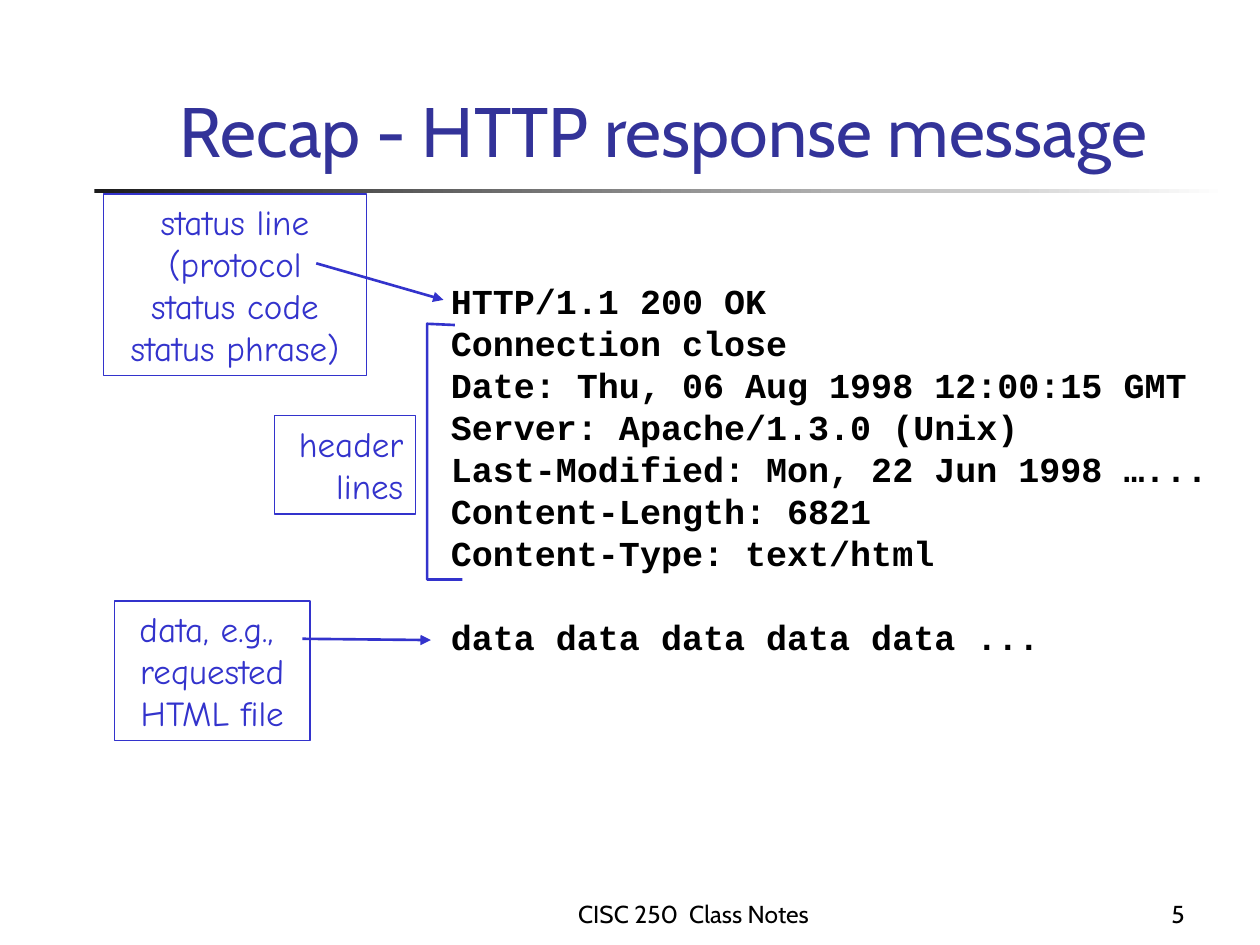
from lxml import etree
from pptx import Presentation
from pptx.dml.color import RGBColor
from pptx.enum.shapes import MSO_CONNECTOR, MSO_SHAPE
from pptx.enum.text import MSO_ANCHOR, PP_ALIGN
from pptx.oxml.ns import qn
from pptx.util import Inches, Pt

LEFT, CENTER, RIGHT = PP_ALIGN.LEFT, PP_ALIGN.CENTER, PP_ALIGN.RIGHT
TOP, BOTTOM = MSO_ANCHOR.TOP, MSO_ANCHOR.BOTTOM
RECTANGLE, STRAIGHT = MSO_SHAPE.RECTANGLE, MSO_CONNECTOR.STRAIGHT
BLUE, NAVY, BLACK = "3333CC", "333399", "000000"
LINE_PITCH = Pt(24)

deck = Presentation()
deck.slide_width, deck.slide_height = Inches(10), Inches(7.5)
page = deck.slides.add_slide(deck.slide_layouts[6])
# Square grid: 1000 columns by 750 rows
CELL = deck.slide_width // 1000


def color(hex_code):
    return RGBColor.from_string(hex_code)


def write(shape, lines, font, size, ink, align=LEFT, anchor=TOP, bold=False, pitch=None):
    """Fill a shape with one paragraph per line of text."""
    frame = shape.text_frame
    frame.word_wrap = pitch is None
    frame.vertical_anchor = anchor
    frame.margin_left = frame.margin_right = 10 * CELL
    frame.margin_top = frame.margin_bottom = 5 * CELL
    for index, line in enumerate(lines):
        para = frame.paragraphs[0] if index == 0 else frame.add_paragraph()
        para.alignment = align
        if pitch:
            para.line_spacing = pitch
        span = para.add_run()
        span.text = line
        span.font.name, span.font.size, span.font.bold = font, Pt(size), bold
        span.font.color.rgb = color(ink)


# Rule under the title, fading to white
rule = page.shapes.add_shape(RECTANGLE, 75 * CELL, 150 * CELL, 900 * CELL, 3 * CELL)
rule.shadow.inherit = False
rule.line.fill.background()
rule.fill.gradient()
rule.fill.gradient_angle = 0
for stop, shade in zip(rule.fill.gradient_stops, ("1C1C1C", "FFFFFF")):
    stop.color.rgb = color(shade)

# Title and footer
for text, size, ink, align, (left, top, width, height) in (
    ("CISC 250  Class Notes", 14, BLACK, CENTER, (342, 692, 417, 50)),
    ("5", 14, BLACK, RIGHT, (858, 692, 92, 50)),
    ("Recap - HTTP response message", 40, NAVY, LEFT, (133, 25, 828, 116)),
):
    box = page.shapes.add_textbox(left * CELL, top * CELL, width * CELL, height * CELL)
    write(box, [text], "Cabin", size, ink, align, BOTTOM)

# Response message; the data follows after a gap of one line
message = page.shapes.add_textbox(348 * CELL, 217 * CELL, 637 * CELL, 310 * CELL)
write(message, [
    "HTTP/1.1 200 OK",
    "Connection close",
    "Date: Thu, 06 Aug 1998 12:00:15 GMT",
    "Server: Apache/1.3.0 (Unix)",
    "Last-Modified: Mon, 22 Jun 1998 …...",
    "Content-Length: 6821",
    "Content-Type: text/html",
    "data data data data data ...",
], "Courier New", 20, BLACK, bold=True, pitch=LINE_PITCH)
message.text_frame.paragraphs[-1].space_before = LINE_PITCH

# Labels for the parts of the message
for lines, align, (left, top, width, height) in (
    (["status line", "(protocol", "status code", "status phrase)"], CENTER, (82, 154, 209, 144)),
    (["header", "lines"], RIGHT, (218, 330, 112, 78)),
    (["data, e.g., ", "requested", "HTML file"], CENTER, (91, 477, 155, 111)),
):
    label = page.shapes.add_shape(RECTANGLE, left * CELL, top * CELL, width * CELL, height * CELL)
    label.shadow.inherit = False
    label.fill.background()
    label.line.color.rgb, label.line.width = color(BLUE), Pt(0.75)
    write(label, lines, "Comic Neue", 20, BLUE, align, pitch=LINE_PITCH)

# Arrows from the labels to the message
for ends in ((251, 209, 352, 238), (240, 507, 342, 508)):
    arrow = page.shapes.add_connector(STRAIGHT, *(end * CELL for end in ends))
    arrow.line.color.rgb, arrow.line.width = color(BLUE), Pt(1.5)
    properties = arrow._element.spPr
    etree.SubElement(properties.find(qn("a:ln")), qn("a:tailEnd"), type="triangle")
    etree.SubElement(properties, qn("a:effectLst"))

# Bracket around the header lines
outline = page.shapes.build_freeform(361, 258, scale=CELL)
outline.add_line_segments([(339, 257), (339, 460), (367, 460)], close=False)
bracket = outline.convert_to_shape()
bracket.shadow.inherit = False
bracket.fill.background()
bracket.line.color.rgb, bracket.line.width = color(BLUE), Pt(1.5)

deck.save("out.pptx")
